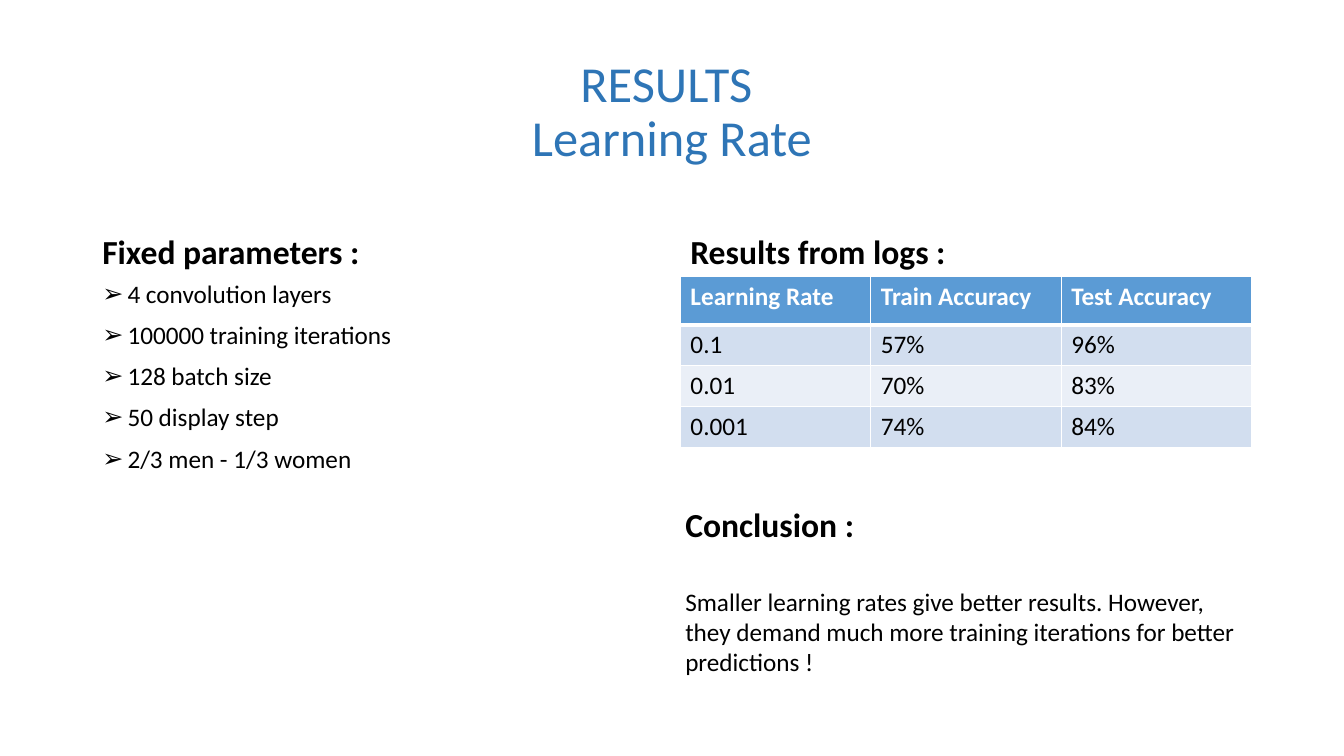
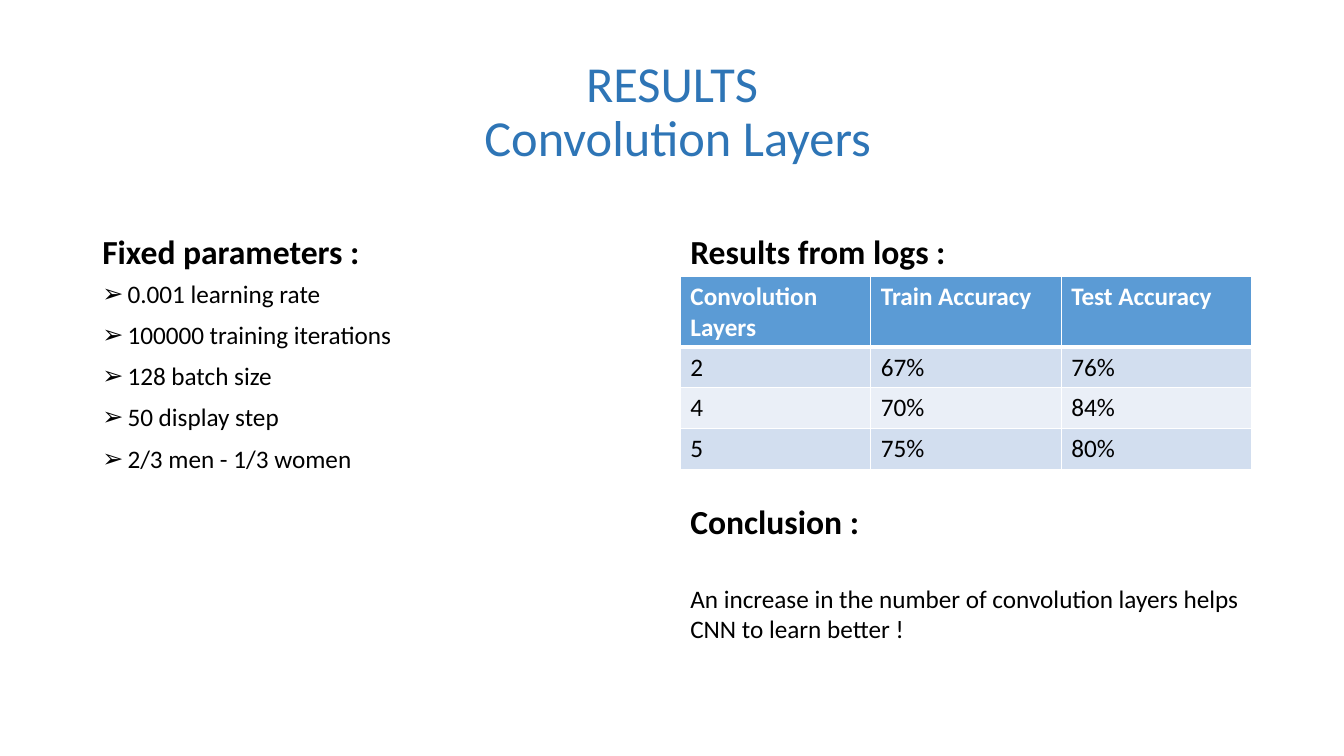
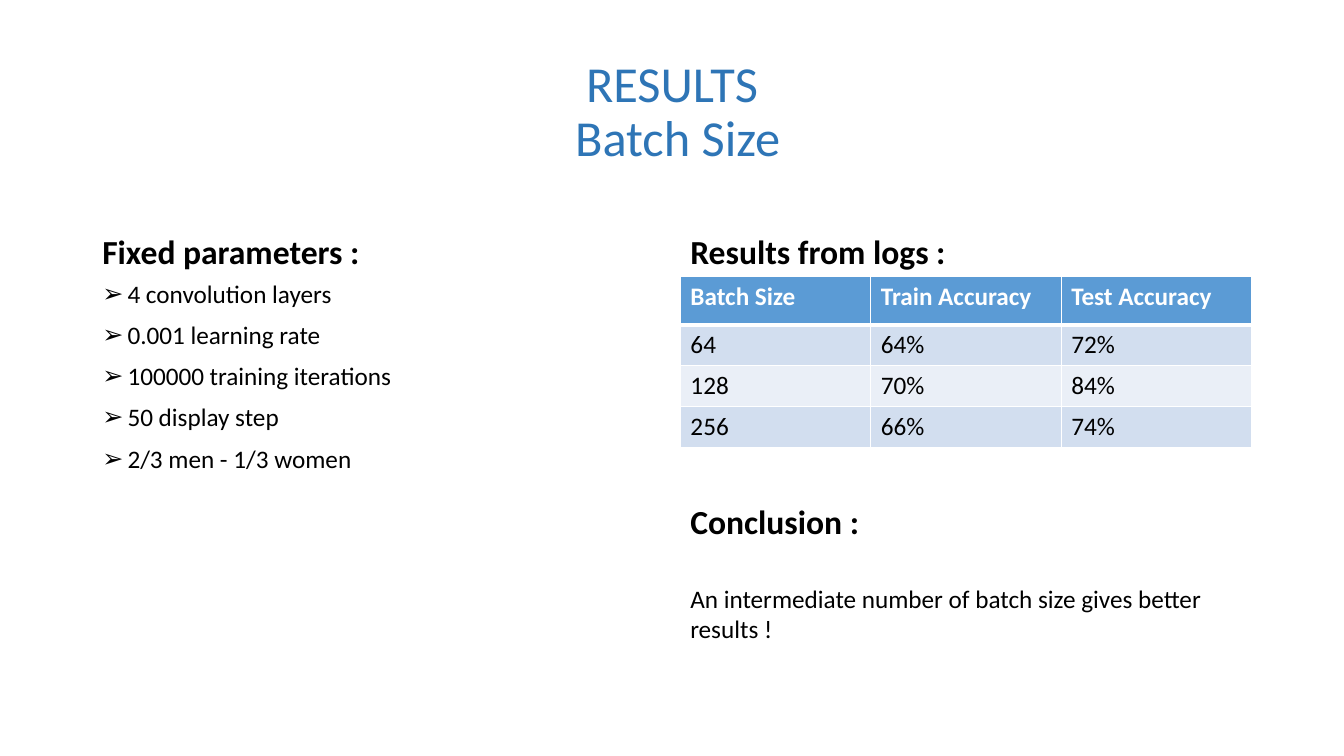
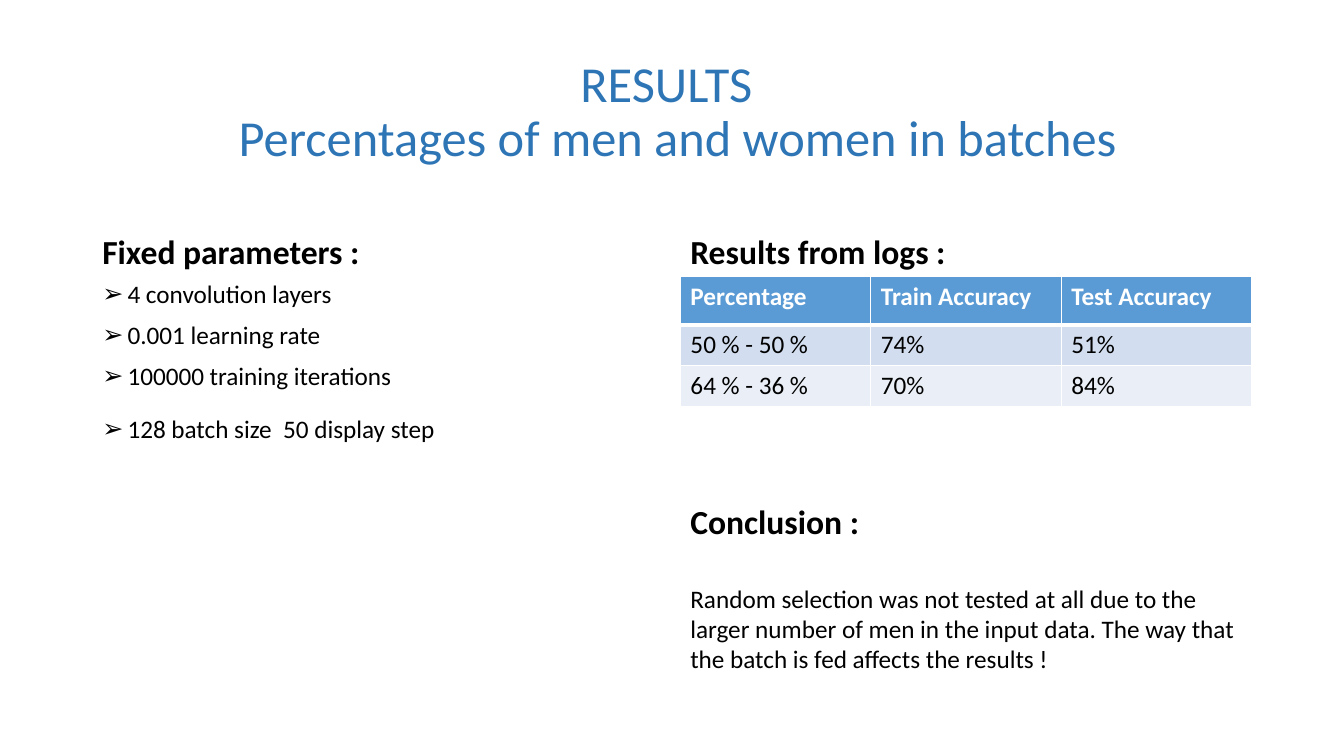
from lxml.etree import SubElement
from pptx import Presentation
from pptx.dml.color import RGBColor
from pptx.enum.text import MSO_ANCHOR, PP_ALIGN
from pptx.oxml.ns import qn
from pptx.util import Inches, Pt

HUES = {"title": "2E75B6", "text": "000000", "head": "5B9BD5",
        "odd": "D2DEEF", "even": "EAEFF7", "white": "FFFFFF"}
FONT = "Calibri"
STYLES = {
    "title": {"size": Pt(36), "bold": False, "hue": "title"},
    "heading": {"size": Pt(24), "bold": True, "hue": "text"},
    "body": {"size": Pt(18), "bold": False, "hue": "text"},
    "label": {"size": Pt(18), "bold": True, "hue": "white"},
}

# Grid: 160 columns by 90 rows, shared by all slides
deck = Presentation()
deck.slide_width, deck.slide_height = Inches(13.33), Inches(7.5)
COL, ROW = deck.slide_width / 160, deck.slide_height / 90
TITLE = (11, 4.8, 138, 17.4)
LEFT_HEAD, RIGHT_HEAD = (11, 22.1, 68, 10.8), (81, 22.1, 68, 10.8)
LIST, GRID = (11, 32.9, 68, 48.4), (81, 32.9, 68)
NOTE = (81, 59.6, 68, 21.4)
TOP_ROW, DATA_ROW = 5.76, 4.87


def place(box):
    return [int(n * unit) for n, unit in zip(box, (COL, ROW, COL, ROW))]


def write(para, text, style, **form):
    """Fill a paragraph and format its runs."""
    para.text = text
    for name, value in form.items():
        setattr(para, name, value)
    look = dict(STYLES[style], name=FONT)
    hue = look.pop("hue")
    for run in para.runs:
        for name, value in look.items():
            setattr(run.font, name, value)
        run.font.color.rgb = RGBColor.from_string(HUES[hue])


def add_text(slide, box, parts, anchor=MSO_ANCHOR.TOP):
    """Add a text box; parts are (text, style, paragraph format)."""
    frame = slide.shapes.add_textbox(*place(box)).text_frame
    frame.word_wrap, frame.vertical_anchor = True, anchor
    for i, (text, style, form) in enumerate(parts):
        para = frame.add_paragraph() if i else frame.paragraphs[0]
        write(para, text, style, **form)
    return frame


def add_title(slide, box, title):
    form = {"alignment": PP_ALIGN.CENTER, "line_spacing": 0.9}
    add_text(slide, box, [(title, "title", form)], MSO_ANCHOR.MIDDLE)


def add_heading(slide, box, text):
    form = {"line_spacing": 0.9, "space_before": Pt(10)}
    add_text(slide, box, [(text, "heading", form)], MSO_ANCHOR.BOTTOM)


def add_list(slide, box, items, last_gap):
    gaps = [10] * (len(items) - 1) + [last_gap]
    frame = add_text(slide, box, [
        (item, "body", {"line_spacing": 0.9, "space_before": Pt(gap)})
        for item, gap in zip(items, gaps)])
    for para in frame.paragraphs:
        props = para._p.get_or_add_pPr()
        props.set("marL", str(Inches(0.25)))
        props.set("indent", str(-Inches(0.25)))
        SubElement(props, qn("a:buFont"), typeface="Arial")
        SubElement(props, qn("a:buChar"), char="➢")


def paint(cell, fill, edges):
    """Set the borders (in points), then the fill, of a table cell."""
    props = cell._tc.get_or_add_tcPr()
    for side, width in edges.items():
        line = SubElement(props, qn("a:ln" + side), w=str(Pt(width)))
        solid = SubElement(line, qn("a:solidFill"))
        SubElement(solid, qn("a:srgbClr"), val=HUES["white"])
    cell.fill.solid()
    cell.fill.fore_color.rgb = RGBColor.from_string(HUES[fill])


def add_grid(slide, box, rows):
    high = TOP_ROW + DATA_ROW * (len(rows) - 1)
    table = slide.shapes.add_table(
        len(rows), len(rows[0]), *place((*box, high))).table
    table.first_row = table.horz_banding = False
    for r, row in enumerate(rows):
        table.rows[r].height = int(ROW * (DATA_ROW if r else TOP_ROW))
        fill = ("odd" if r % 2 else "even") if r else "head"
        edges = {"L": 1, "R": 1, "T": 3 if r == 1 else 1, "B": 1 if r else 3}
        for c, text in enumerate(row):
            cell = table.cell(r, c)
            write(cell.text_frame.paragraphs[0], text,
                  "body" if r else "label")
            paint(cell, fill, edges)


def add_note(slide, box, text):
    add_text(slide, box, [
        ("Conclusion :", "heading",
         {"line_spacing": 0.9, "space_before": Pt(10)}),
        (text, "body", {"space_before": Pt(29.3)})])


def add_result(title, items, factor, rows, note, note_box=NOTE, last_gap=10):
    """Build one result slide."""
    slide = deck.slides.add_slide(deck.slide_layouts[6])
    add_title(slide, TITLE, title)
    add_heading(slide, LEFT_HEAD, "Fixed parameters :")
    add_list(slide, LIST, items, last_gap)
    add_heading(slide, RIGHT_HEAD, "Results from logs :")
    add_grid(slide, GRID, [(factor, "Train Accuracy", "Test Accuracy"), *rows])
    add_note(slide, note_box, note)


LAYERS, RATE = "4 convolution layers", "0.001 learning rate"
TURNS, BATCH = "100000 training iterations", "128 batch size"
STEP, SPLIT = "50 display step", "2/3 men - 1/3 women"

add_result(
    "RESULTS \vLearning Rate", [LAYERS, TURNS, BATCH, STEP, SPLIT],
    "Learning Rate",
    [("0.1", "57%", "96%"), ("0.01", "70%", "83%"), ("0.001", "74%", "84%")],
    "Smaller learning rates give better results. However, they demand much "
    "more training iterations for better predictions !",
    note_box=(80.4, 60, 68, 21.4))
add_result(
    "RESULTS\v Convolution Layers", [RATE, TURNS, BATCH, STEP, SPLIT],
    "Convolution Layers",
    [("2", "67%", "76%"), ("4", "70%", "84%"), ("5", "75%", "80%")],
    "An increase in the number of convolution layers helps CNN to learn "
    "better !")
add_result(
    "RESULTS\v Batch Size", [LAYERS, RATE, TURNS, STEP, SPLIT],
    "Batch Size",
    [("64", "64%", "72%"), ("128", "70%", "84%"), ("256", "66%", "74%")],
    "An intermediate number of batch size gives better results !")
add_result(
    "RESULTS \v Percentages of men and women in batches",
    [LAYERS, RATE, TURNS, f"{BATCH}\u00a0\u00a0{STEP}"],
    "Percentage",
    [("50 % - 50 %", "74%", "51%"), ("64 % - 36 %", "70%", "84%")],
    "Random selection was not tested at all due to the larger number of men "
    "in the input data. The way that the batch is fed affects the results !",
    last_gap=18.5)

deck.save("out.pptx")
